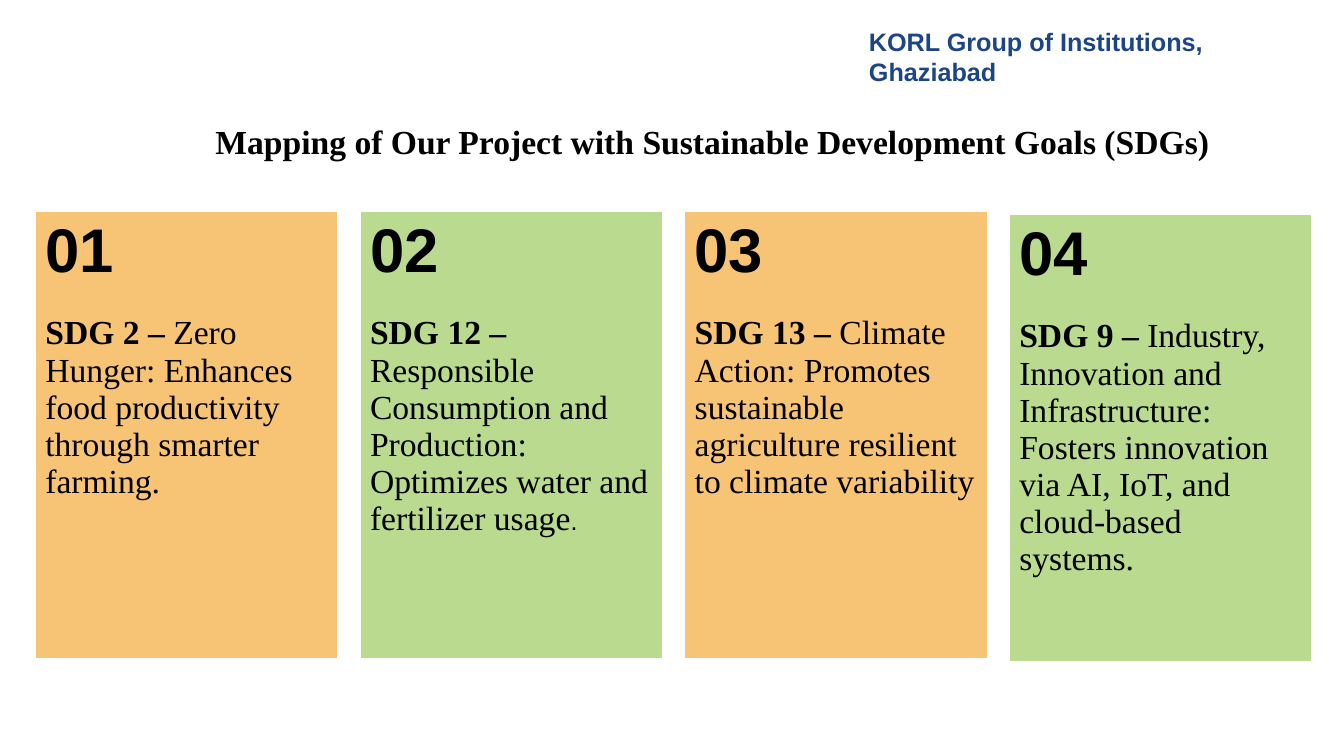
"""Build a slide that maps a project to four Sustainable Development Goals."""
from lxml.etree import SubElement
from pptx import Presentation
from pptx.dml.color import RGBColor
from pptx.enum.text import PP_ALIGN
from pptx.oxml.ns import qn
from pptx.util import Inches, Pt

COLORS = {
    "black": "000000",
    "white": "FFFFFF",
    "navy": "1C4587",
    "orange": "F7C475",
    "green": "B9DA8F",
}
SERIF, SANS = "Times New Roman", "Arial"
BORDERS = {"a:lnL": 1, "a:lnR": 1, "a:lnT": 1, "a:lnB": 3}


def add_run(paragraph, text, size, font_name, color="black", bold=True):
    run = paragraph.add_run()
    run.text = text
    run.font.size = Pt(size)
    run.font.name = font_name
    run.font.bold = bold
    run.font.color.rgb = RGBColor.from_string(COLORS[color])


def add_text_box(left, top, width, height):
    text_box = slide.shapes.add_textbox(Inches(left), Inches(top), Inches(width), Inches(height))
    text_box.text_frame.word_wrap = True
    return text_box.text_frame.paragraphs[0]


presentation = Presentation()
presentation.slide_width = Inches(13.33)
presentation.slide_height = Inches(7.5)
slide = presentation.slides.add_slide(presentation.slide_layouts[6])

title = add_text_box(1.39, 1.15, 11.35, 0.66)
title.alignment = PP_ALIGN.CENTER
add_run(title, "Mapping of Our Project with Sustainable Development Goals (SDGs)", 24, SERIF)

institution = add_text_box(8.52, 0.21, 4.81, 0.4)
add_run(institution, "KORL Group of Institutions, Ghaziabad", 18, SANS, "navy")

goals = [
    ("SDG 2 – ", "Zero Hunger: Enhances food productivity through smarter farming.", "", 2.1),
    ("SDG 12 – ", "Responsible Consumption and Production: "
     "Optimizes water and fertilizer usage", ".", 2.1),
    ("SDG 13 – ", "Climate Action: Promotes sustainable agriculture "
     "resilient to climate variability", "", 2.1),
    ("SDG 9 – ", "Industry, Innovation and Infrastructure: "
     "Fosters innovation via AI, IoT, and cloud-based systems.", "", 2.13),
]

for index, (goal, description, ending, top) in enumerate(goals):
    left = 0.35 + index * 3.22
    table = slide.shapes.add_table(
        1, 1, Inches(left), Inches(top), Inches(3), Inches(4.45)
    ).table
    table.first_row = False
    table.horz_banding = False
    cell = table.cell(0, 0)

    cell_properties = cell._tc.get_or_add_tcPr()
    for tag, width in BORDERS.items():
        line = SubElement(cell_properties, qn(tag), w=str(Pt(width)))
        line_fill = SubElement(line, qn("a:solidFill"))
        SubElement(line_fill, qn("a:srgbClr"), val=COLORS["white"])
    cell.fill.solid()
    card_color = COLORS["green" if index % 2 else "orange"]
    cell.fill.fore_color.rgb = RGBColor.from_string(card_color)

    number = cell.text_frame.paragraphs[0]
    add_run(number, f"{index + 1:02d}", 44, SANS)
    body = cell.text_frame.add_paragraph()
    body.space_before = Pt(21)
    add_run(body, goal, 24, SERIF)
    add_run(body, description, 24, SERIF, bold=False)
    if ending:
        add_run(body, ending, 18, SANS, bold=False)

presentation.save("out.pptx")
